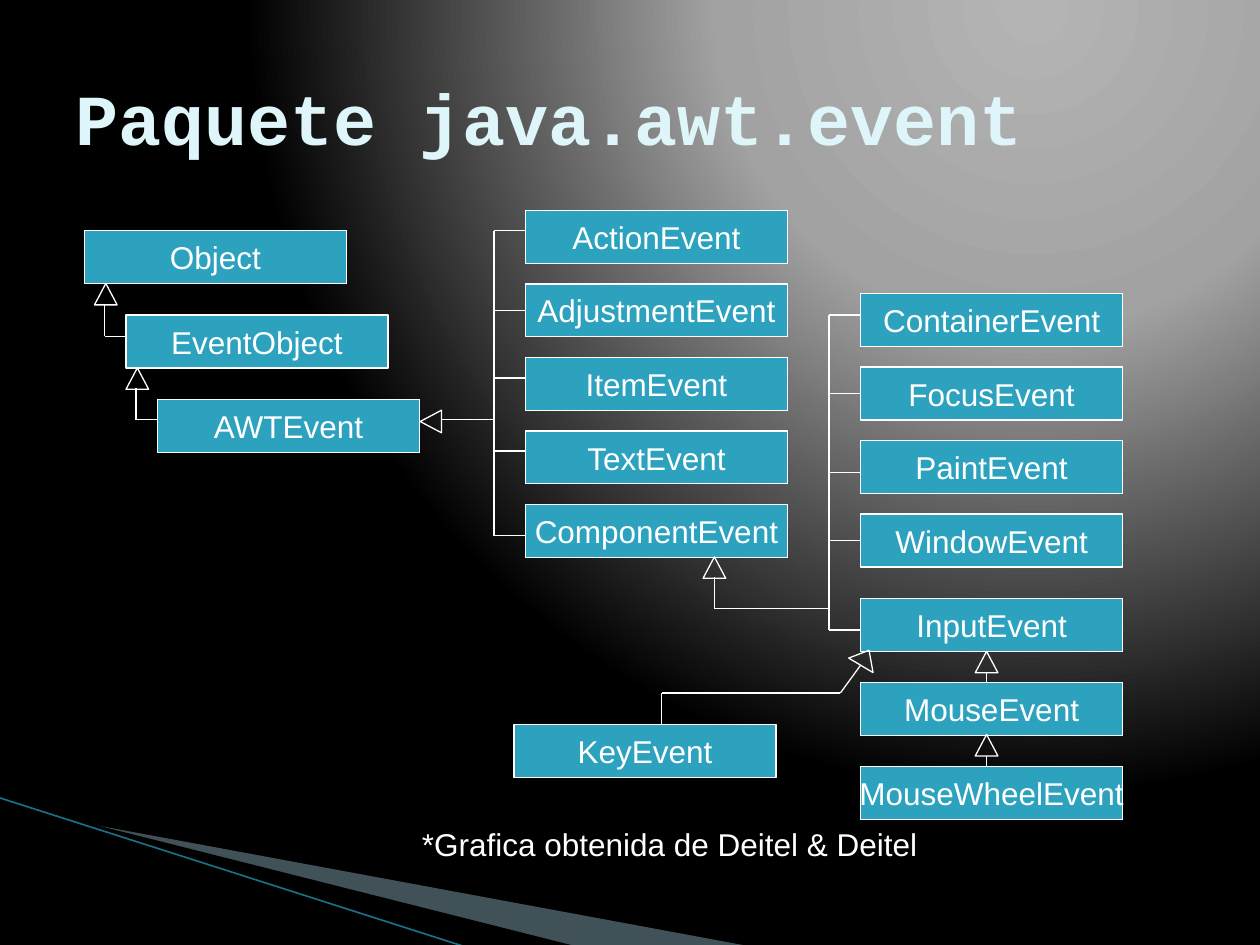
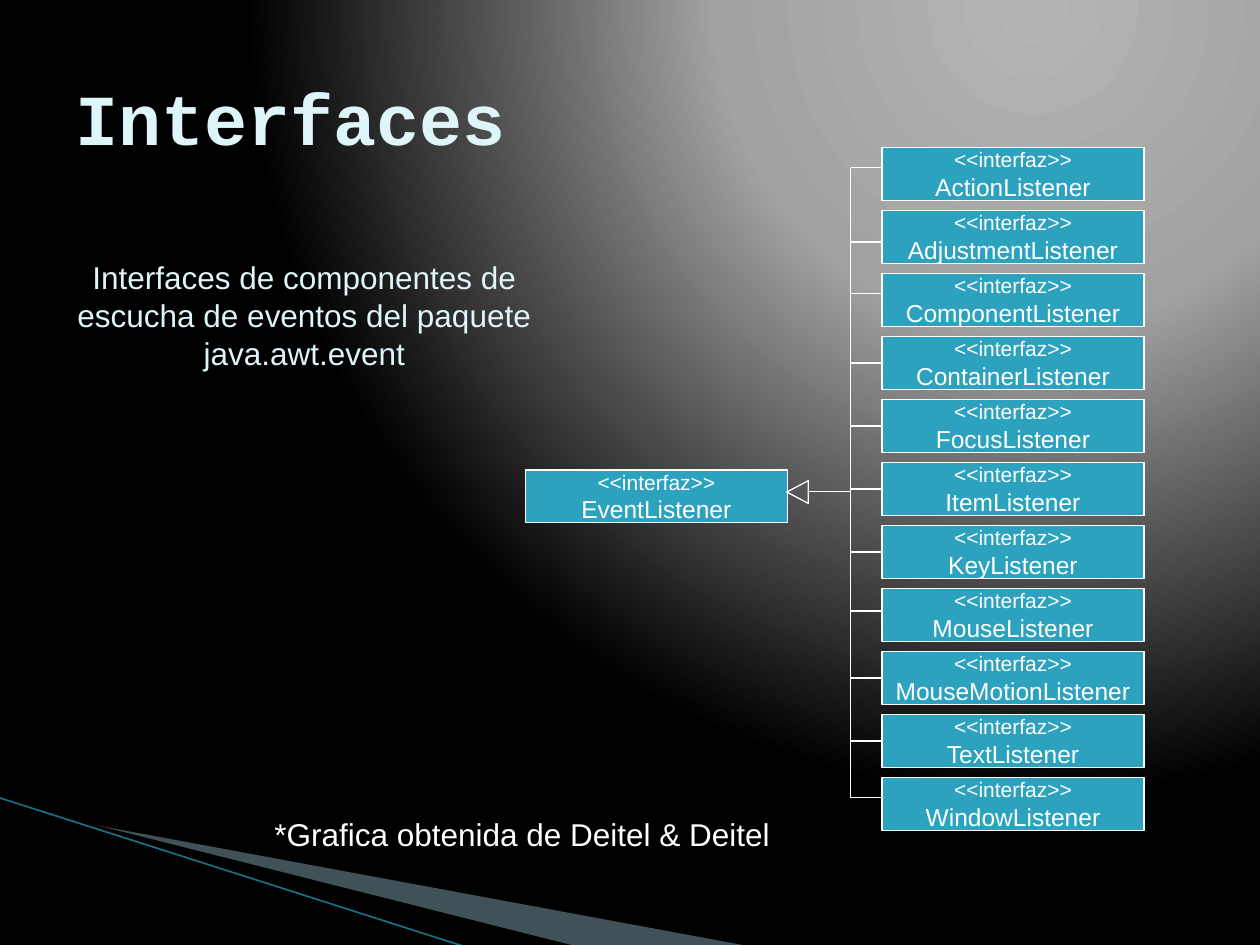
import pptx
import pptx.dml.color
import pptx.enum.shapes
import pptx.enum.text
import pptx.oxml
import pptx.oxml.ns
import pptx.util
from pptx.util import Inches

SHAPE = pptx.enum.shapes.MSO_SHAPE
ALIGN = pptx.enum.text.PP_ALIGN
ANCHOR = pptx.enum.text.MSO_ANCHOR

WHITE, BLACK, TEAL = "FFFFFF", "000000", "2DA2BF"
PALE, BAND, STRIPE = "DEF5FA", "A0CBDC", "1A6F85"
GLOW = [(0, "B4B4B4"), (40, "A2A2A2"), (100, BLACK)]
BOX_W, BOX_H = 2.08, 0.42
TIP_W, TIP_H = 0.18, 0.17
CREDIT = "*Grafica obtenida de Deitel & Deitel"


def color(code):
    return pptx.dml.color.RGBColor.from_string(code)


def write(shape, text, sizes=(18,), font="Arial", ink=WHITE, bold=False,
          align=ALIGN.LEFT, anchor=ANCHOR.TOP, wrap=False, inset=None):
    """Fill a shape with one paragraph per line; sizes go line by line."""
    frame = shape.text_frame
    frame.word_wrap = wrap
    frame.vertical_anchor = anchor
    if inset is not None:
        frame.margin_left = frame.margin_right = Inches(inset)
        frame.margin_top = frame.margin_bottom = Inches(inset)
    for i, (line, size) in enumerate(zip(text.split("\n"), sizes)):
        para = frame.add_paragraph() if i else frame.paragraphs[0]
        para.alignment = align
        run = para.add_run()
        run.text = line
        run.font.size = pptx.util.Pt(size)
        run.font.name = font
        run.font.bold = bold
        run.font.color.rgb = color(ink)


def label(slide, text, left, top, width, height, **style):
    area = slide.shapes.add_textbox(*map(Inches, (left, top, width, height)))
    write(area, text, **style)


def link(slide, start, end, ink=WHITE, width=0.75):
    line = slide.shapes.add_connector(
        pptx.enum.shapes.MSO_CONNECTOR.STRAIGHT, *map(Inches, start + end))
    line.line.color.rgb = color(ink)
    line.line.width = pptx.util.Pt(width)
    props = line._element.spPr
    props.append(props.makeelement(pptx.oxml.ns.qn("a:effectLst"), {}))
    return line


def route(slide, *points):
    """Draw straight segments through the points."""
    for start, end in zip(points, points[1:]):
        link(slide, start, end)


def box(slide, text, left, top, sizes=(18,)):
    rect = slide.shapes.add_shape(
        SHAPE.RECTANGLE, *map(Inches, (left, top, BOX_W, BOX_H)))
    rect.shadow.inherit = False
    rect.fill.solid()
    rect.fill.fore_color.rgb = color(TEAL)
    rect.line.color.rgb = color(WHITE)
    rect.line.width = pptx.util.Pt(0.75)
    write(rect, text, sizes, align=ALIGN.CENTER, anchor=ANCHOR.MIDDLE, inset=0)
    return rect


def stack(slide, names, left, top, step, **style):
    return [box(slide, name, left, top + i * step, **style)
            for i, name in enumerate(names)]


def tip(slide, left, top, turn=0, peak=0.5):
    """Draw the hollow triangle that marks inheritance."""
    head = slide.shapes.add_shape(
        SHAPE.ISOSCELES_TRIANGLE, *map(Inches, (left, top, TIP_W, TIP_H)))
    head.shadow.inherit = False
    head.adjustments[0] = peak
    head.rotation = turn
    head.fill.background()
    head.line.color.rgb = color(WHITE)
    head.line.width = pptx.util.Pt(0.75)


def rail(slide, x, rects, levels):
    """Draw a trunk at x with one branch to each box."""
    link(slide, (x, levels[0]), (x, levels[-1]))
    for rect, y in zip(rects, levels):
        middle = (rect.top + rect.height / 2) / Inches(1)
        joined = abs(y - middle) < 0.03
        if joined:
            y = middle
        line = link(slide, (x, y), (rect.left / Inches(1), y))
        if joined:
            line.end_connect(rect, 1)


def wedge(slide, points, fill, alpha=100):
    dots = [(Inches(x), Inches(y)) for x, y in points]
    pen = slide.shapes.build_freeform(*dots[0])
    pen.add_line_segments(dots[1:], close=True)
    form = pen.convert_to_shape()
    form.shadow.inherit = False
    form.fill.solid()
    form.fill.fore_color.rgb = color(fill)
    form.line.fill.background()
    if alpha < 100:
        tone = form._element.spPr.find(".//" + pptx.oxml.ns.qn("a:srgbClr"))
        tone.append(tone.makeelement(
            pptx.oxml.ns.qn("a:alpha"), {"val": str(alpha * 1000)}))


def glow(slide):
    """Set the round gradient behind the slide."""
    slide.background.fill.gradient()
    old = slide._element.find(".//" + pptx.oxml.ns.qn("a:gradFill"))
    stops = "".join(
        f'<a:gs pos="{at * 1000}"><a:srgbClr val="{code}"/></a:gs>'
        for at, code in GLOW)
    new = pptx.oxml.parse_xml(
        f'<a:gradFill {pptx.oxml.ns.nsdecls("a")} rotWithShape="1">'
        f'<a:gsLst>{stops}</a:gsLst><a:path path="circle">'
        '<a:fillToRect l="65000" t="0" r="0" b="98000"/></a:path></a:gradFill>')
    old.getparent().replace(old, new)


def begin(deck, title):
    """Add a slide with the shared backdrop and title."""
    slide = deck.slides.add_slide(deck.slide_layouts[6])
    glow(slide)
    wedge(slide, [(0.55, 6.51), (5.95, 7.51), (4.56, 7.51), (0.55, 6.5)],
          BAND, alpha=40)
    wedge(slide, [(0.53, 6.49), (4.57, 7.51), (3.72, 7.52), (0.54, 6.5)], BLACK)
    link(slide, (-0.01, 6.33), (3.71, 7.52), ink=STRIPE, width=0.95)
    label(slide, title, 0.5, 0.3, 9, 1.25, sizes=(41,), font="Courier New",
          ink=PALE, bold=True, anchor=ANCHOR.MIDDLE, wrap=True)
    return slide


def events(deck):
    slide = begin(deck, "Paquete java.awt.event")
    for name, left, top in [("Object", 0.67, 1.83), ("EventObject", 1, 2.5),
                            ("AWTEvent", 1.25, 3.17)]:
        box(slide, name, left, top)
    direct = stack(slide, ["ActionEvent", "AdjustmentEvent", "ItemEvent",
                           "TextEvent", "ComponentEvent"], 4.17, 1.67, 7 / 12)
    parts = stack(slide, ["ContainerEvent", "FocusEvent", "PaintEvent",
                          "WindowEvent"], 6.83, 2.33, 7 / 12)
    inputs = stack(slide, ["InputEvent", "MouseEvent", "MouseWheelEvent"],
                   6.83, 4.75, 2 / 3)
    box(slide, "KeyEvent", 4.08, 5.75)

    rail(slide, 3.92, direct, [1.83, 2.46, 3, 3.58, 4.25])
    rail(slide, 6.58, parts + inputs[:1], [2.5, 3.15, 3.75, 4.3, 5])

    for left, top in [(0.75, 2.25), (1, 2.92), (5.58, 4.42),
                      (7.74, 5.17), (7.74, 5.83)]:
        tip(slide, left, top)
    tip(slide, 3.33, 3.26, turn=270)
    tip(slide, 6.74, 5.18, turn=259.8, peak=0.824)

    route(slide, (0.83, 2.42), (0.83, 2.67), (1, 2.67))
    route(slide, (1.08, 3.08), (1.08, 3.33), (1.25, 3.33))
    route(slide, (3.5, 3.33), (3.92, 3.33))
    route(slide, (5.67, 4.58), (5.67, 4.83), (6.58, 4.83))
    route(slide, (6.83, 5.28), (6.67, 5.5), (5.25, 5.5), (5.25, 5.75))
    route(slide, (7.83, 5.33), (7.83, 5.42))
    route(slide, (7.83, 6), (7.83, 6.08))
    label(slide, CREDIT, 3.25, 6.5, 4.13, 0.4)


def faces(deck):
    slide = begin(deck, "Interfaces")
    label(slide, "Interfaces de componentes de escucha de eventos del paquete "
          "java.awt.event", 0.5, 2, 3.83, 1, ink=PALE, align=ALIGN.CENTER,
          wrap=True)
    kinds = ["Action", "Adjustment", "Component", "Container", "Focus", "Item",
             "Key", "Mouse", "MouseMotion", "Text", "Window"]
    names = [f"<<interfaz>>\n{kind}Listener" for kind in kinds]
    rects = stack(slide, names, 7, 1.17, 0.5, sizes=(12, 14))
    box(slide, "<<interfaz>>\nEventListener", 4.17, 3.73, sizes=(12, 14))
    tip(slide, 6.24, 3.82, turn=270)
    route(slide, (6.42, 3.9), (6.75, 3.9))
    rail(slide, 6.75, rects, [1.33, 1.92, 2.33, 2.89, 3.35, 3.9,
                              4.37, 4.85, 5.38, 5.87, 6.33])
    label(slide, CREDIT, 2.08, 6.42, 4.13, 0.4)


def main():
    deck = pptx.Presentation()
    deck.slide_width, deck.slide_height = Inches(10), Inches(7.5)
    events(deck)
    faces(deck)
    deck.save("out.pptx")


if __name__ == "__main__":
    main()
